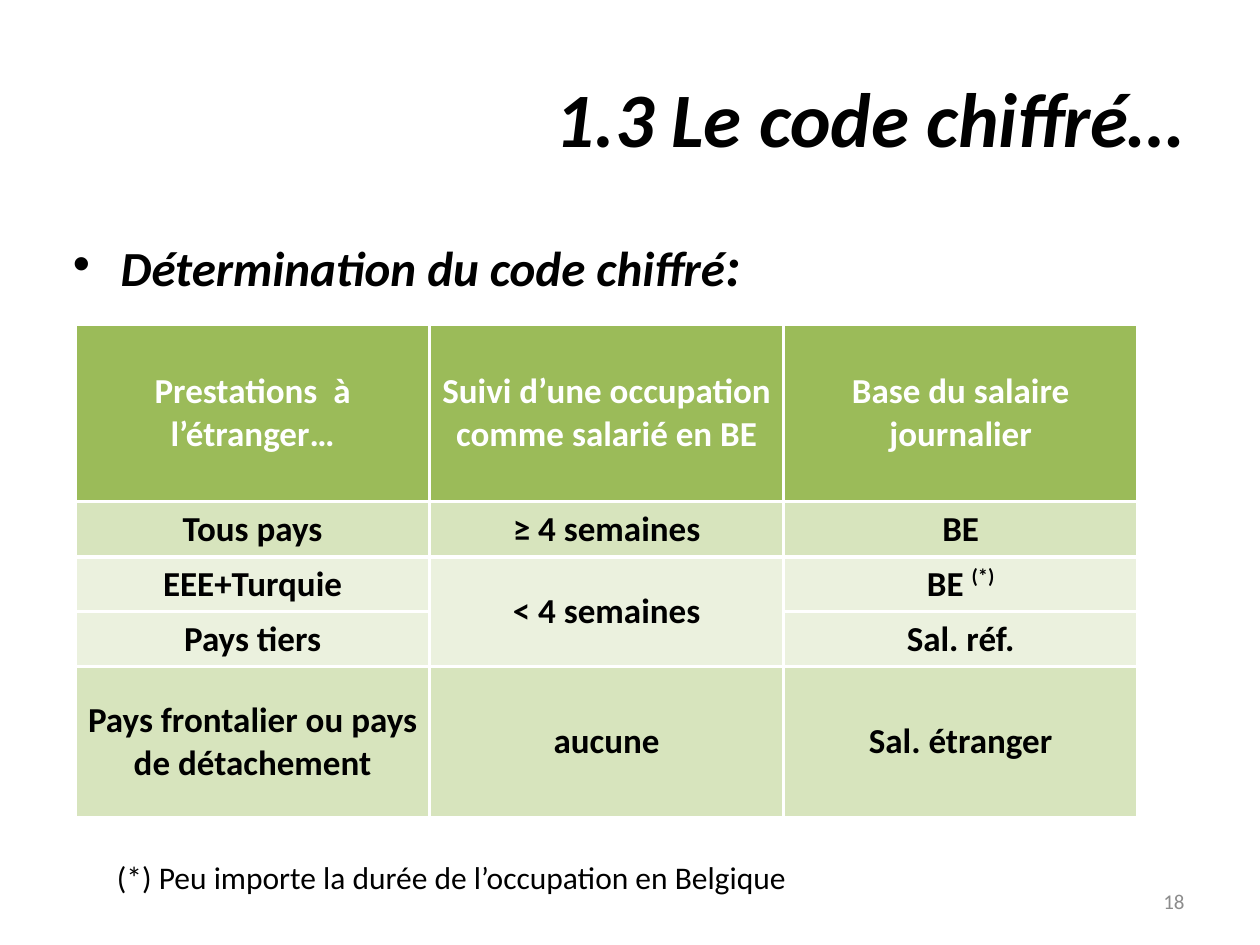
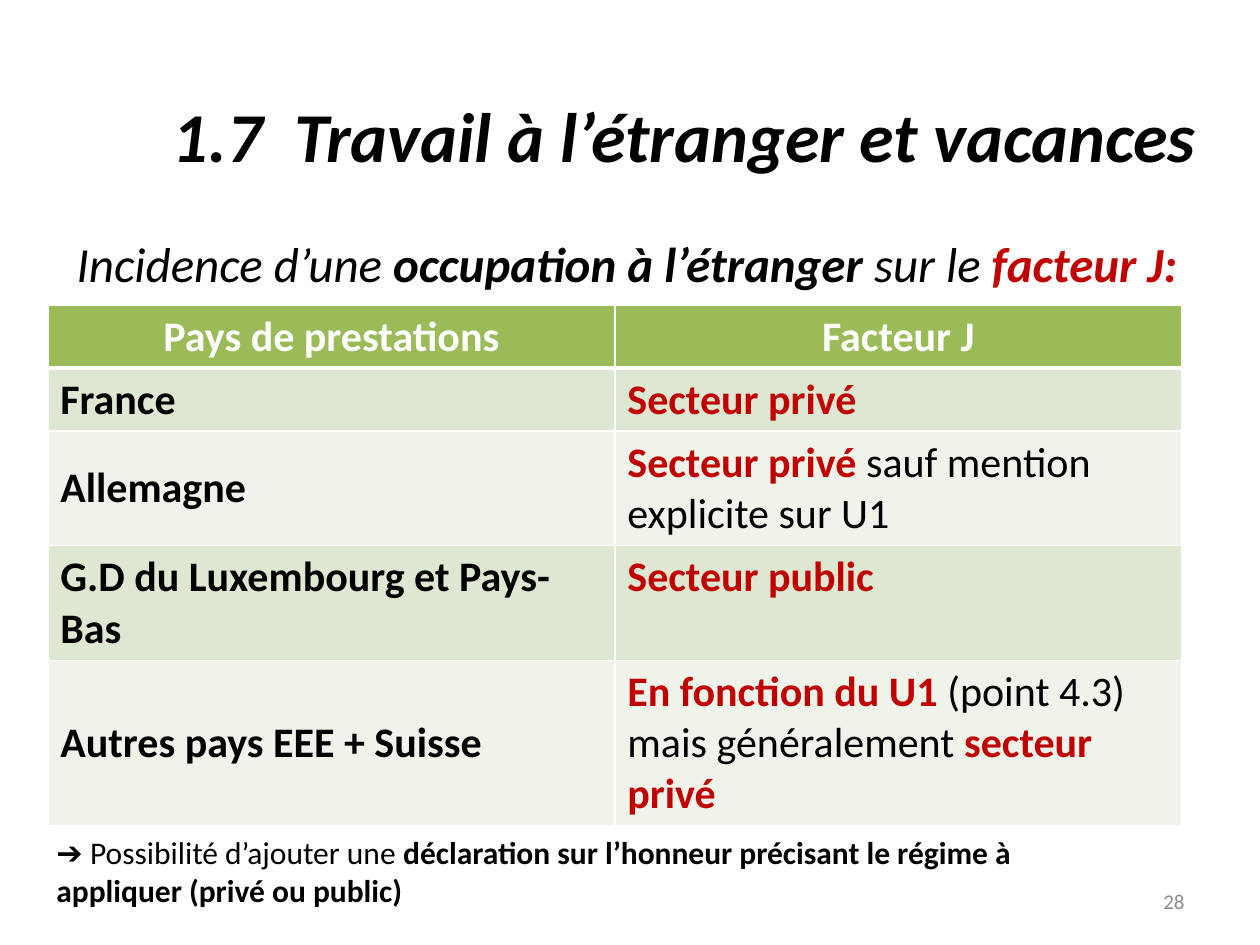
from lxml import etree
from pptx import Presentation
from pptx.dml.color import RGBColor
from pptx.enum.text import MSO_ANCHOR, PP_ALIGN
from pptx.oxml.ns import qn
from pptx.util import Inches, Pt

BLACK = RGBColor(0x00, 0x00, 0x00)
WHITE = RGBColor(0xFF, 0xFF, 0xFF)
GREY = RGBColor(0x8C, 0x8C, 0x8C)
RED = RGBColor(0xC0, 0x00, 0x00)
GREEN = RGBColor(0x9B, 0xBB, 0x59)
SOFT_GREEN = RGBColor(0xD7, 0xE4, 0xBD)
PALE_GREEN = RGBColor(0xEB, 0xF1, 0xDE)
SOFT_SAGE = RGBColor(0xDE, 0xE7, 0xD1)
PALE_SAGE = RGBColor(0xEF, 0xF3, 0xEA)

FONT = "Calibri"
BOLD = {"bold": True}
REGULAR = {"bold": False}
BOLD_RED = {"bold": True, "color": RED}


class Deck:
    """Holds the shared style and the slide being filled."""

    def __init__(self):
        self.prs = Presentation()
        self.prs.slide_width, self.prs.slide_height = Inches(10), Inches(7.5)
        self.slide = None

    def new_slide(self, number):
        self.slide = self.prs.slides.add_slide(self.prs.slide_layouts[6])
        self.text(7.17, 6.95, 2.33, 0.4, [str(number)], align=PP_ALIGN.RIGHT,
                  anchor=MSO_ANCHOR.MIDDLE, size=12, color=GREY)

    def add_runs(self, paragraph, parts, align=PP_ALIGN.LEFT, **base):
        """Fill a paragraph; a part is a string or a (string, format) pair."""
        paragraph.alignment = align
        for part in parts:
            words, changes = (part, {}) if isinstance(part, str) else part
            look = {"name": FONT, "color": BLACK, **base, **changes}
            run = paragraph.add_run()
            run.text = words
            run.font.color.rgb = look.pop("color")
            run.font.size = Pt(look.pop("size"))
            raised = look.pop("raised", 0)
            if raised:
                run.font._element.set("baseline", str(raised * 1000))
            for name, value in look.items():
                setattr(run.font, name, value)

    def text(self, left, top, width, height, parts, anchor=MSO_ANCHOR.TOP, **look):
        box = self.slide.shapes.add_textbox(*map(Inches, (left, top, width, height)))
        frame = box.text_frame
        frame.word_wrap = True
        frame.vertical_anchor = anchor
        self.add_runs(frame.paragraphs[0], parts, **look)
        return frame.paragraphs[0]

    def title(self, left, top, words, size):
        self.text(left, top, 9, 1.25, [words], align=PP_ALIGN.RIGHT,
                  anchor=MSO_ANCHOR.MIDDLE, size=size, bold=True, italic=True)

    def lead(self, left, top, parts, **look):
        return self.text(left, top, 9, 4.95, parts, size=28, italic=True, **look)

    def bullet(self, paragraph):
        props = paragraph._p.get_or_add_pPr()
        props.set("marL", str(Inches(0.38)))
        props.set("indent", str(Inches(-0.38)))
        etree.SubElement(props, qn("a:buFont"), typeface="Arial")
        etree.SubElement(props, qn("a:buChar"), char="•")

    def table(self, left, top, widths, heights):
        frame = self.slide.shapes.add_table(
            len(heights), len(widths), Inches(left), Inches(top),
            Inches(sum(widths)), Inches(sum(heights)))
        table = frame.table
        table.first_row = table.horz_banding = False
        for column, width in zip(table.columns, widths):
            column.width = Inches(width)
        for row, height in zip(table.rows, heights):
            row.height = Inches(height)
        return table

    def borders(self, cell, **widths):
        """Draw white edges; widths maps L, R, T and B to points."""
        props = cell._tc.get_or_add_tcPr()
        for side in "LRTB":
            line = etree.SubElement(props, qn(f"a:ln{side}"), w=str(Pt(widths[side])))
            fill = etree.SubElement(line, qn("a:solidFill"))
            etree.SubElement(fill, qn("a:srgbClr"), val=str(WHITE))

    def cell(self, cell, parts, fill, edges, anchor=MSO_ANCHOR.TOP, **look):
        self.borders(cell, **edges)
        cell.fill.solid()
        cell.fill.fore_color.rgb = fill
        cell.vertical_anchor = anchor
        if look.get("align") == PP_ALIGN.CENTER:
            cell.margin_left = cell.margin_right = Inches(0.08)
        self.add_runs(cell.text_frame.paragraphs[0], parts, **look)


def code_slide(deck):
    deck.new_slide(18)
    deck.title(0.5, 0.3, "1.3 Le code chiffré…", 44)
    deck.bullet(deck.lead(0.48, 1.78, ["Détermination du code chiffré", (":", {"size": 32})],
                          bold=True))
    deck.text(0.83, 6.76, 8.19, 0.4,
              ["(*) Peu importe la durée de l’occupation en Belgique"], size=18)

    rows = [
        (GREEN, ["Prestations  à l’étranger…"], ["Suivi d’une occupation comme salarié en BE"],
         ["Base du salaire journalier"]),
        (SOFT_GREEN, ["Tous pays"], ["≥ 4 semaines"], ["BE"]),
        (PALE_GREEN, ["EEE+Turquie"], ["< 4 semaines"], ["BE ", ("(*)", {"raised": 38})]),
        (PALE_GREEN, ["Pays tiers"], [], ["Sal. réf."]),
        (SOFT_GREEN, ["Pays frontalier ou pays de détachement"], ["aucune"],
         ["Sal. étranger"]),
    ]
    table = deck.table(0.6, 2.57, [2.81] * 3, [1.41, 0.44, 0.43, 0.43, 1.2])
    table.cell(2, 1).merge(table.cell(3, 1))
    edges = dict.fromkeys("LRTB", 2.25)
    for r, (fill, *texts) in enumerate(rows):
        for c, parts in enumerate(texts):
            deck.cell(table.cell(r, c), parts, fill, edges, anchor=MSO_ANCHOR.MIDDLE,
                      align=PP_ALIGN.CENTER, size=20, bold=True,
                      color=BLACK if r else WHITE)


def holiday_slide(deck):
    deck.new_slide(28)
    deck.title(0.59, 0.44, "1.7  Travail à l’étranger et vacances", 40)
    lead = deck.lead(0.51, 1.86, ["Incidence d’une", (" occupation à l’étranger ", BOLD),
                                  "sur le ", ("facteur J:", BOLD_RED)])
    lead.line_spacing = 0.9

    rows = [
        ("Pays de prestations", ["Facteur J"]),
        ("France", [("Secteur privé", BOLD_RED)]),
        ("Allemagne", [("Secteur privé ", BOLD_RED), "sauf mention explicite sur U1"]),
        ("G.D du Luxembourg et Pays-Bas", [("Secteur public", BOLD_RED)]),
        ("Autres pays EEE + Suisse",
         [("En fonction du U1 ", BOLD_RED), "(point 4.3) mais généralement",
          (" secteur privé", BOLD_RED)]),
    ]
    table = deck.table(0.38, 2.42, [4.5] * 2, [0.5, 0.5, 0.91, 0.91, 1.31])
    for r, (country, factor) in enumerate(rows):
        edges = {"L": 1, "R": 1, "T": 3 if r == 1 else 1, "B": 1 if r else 3}
        if r == 0:
            look = {"align": PP_ALIGN.CENTER, "color": WHITE, **BOLD}
            fill, country_look, factor_look = GREEN, look, look
        else:
            fill = SOFT_SAGE if r % 2 else PALE_SAGE
            country_look = {"anchor": MSO_ANCHOR.MIDDLE, **BOLD}
            factor_look = REGULAR
        deck.cell(table.cell(r, 0), [country], fill, edges, size=24, **country_look)
        deck.cell(table.cell(r, 1), factor, fill, edges, size=24, **factor_look)

    deck.text(0.35, 6.56, 8.47, 0.71, [
        ("➔ ", BOLD), "Possibilité d’ajouter une ",
        ("déclaration sur l’honneur précisant le régime à appliquer (privé ou public)", BOLD),
    ], size=18)


def main():
    deck = Deck()
    code_slide(deck)
    holiday_slide(deck)
    deck.prs.save("out.pptx")


if __name__ == "__main__":
    main()
